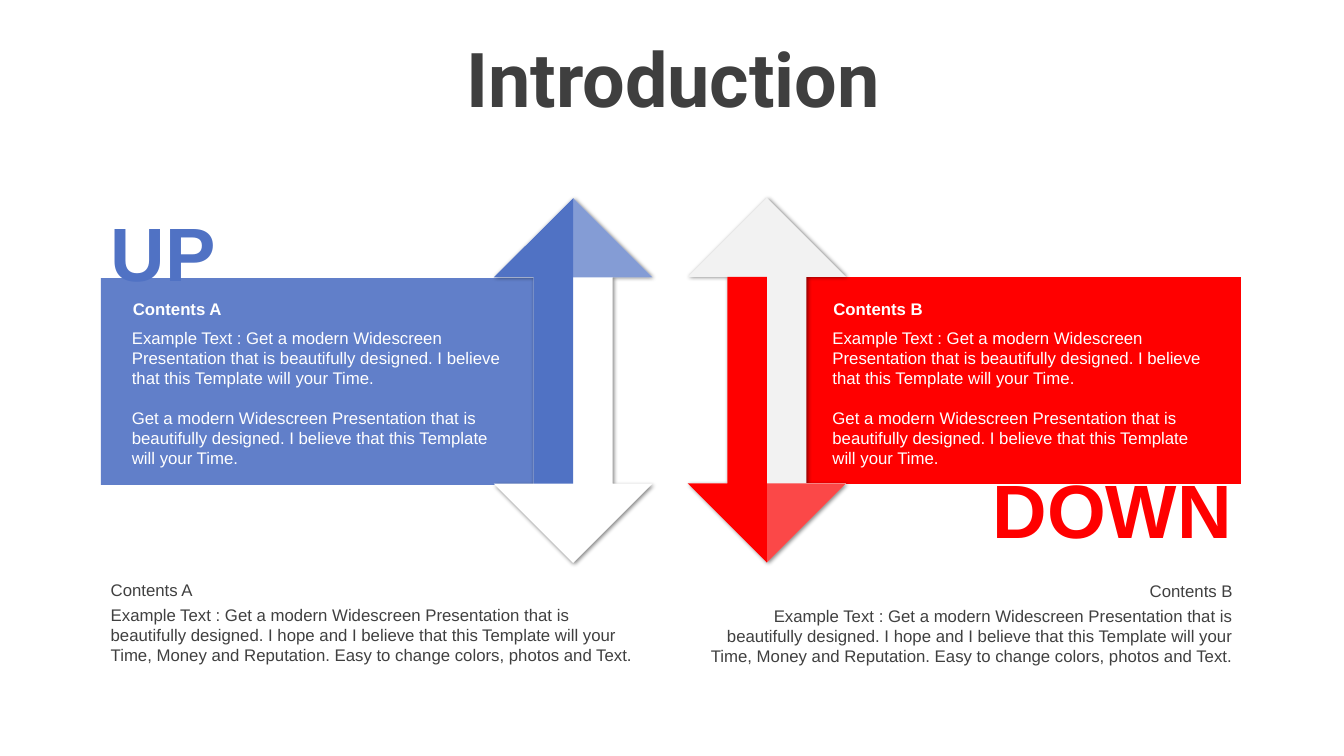
from dataclasses import dataclass

from lxml import etree
from pptx import Presentation
from pptx.dml.color import RGBColor
from pptx.enum.shapes import MSO_SHAPE
from pptx.enum.text import MSO_ANCHOR, PP_ALIGN
from pptx.oxml.ns import qn
from pptx.util import Pt

RECT, UP_DOWN = MSO_SHAPE.RECTANGLE, MSO_SHAPE.UP_DOWN_ARROW
TOP, MIDDLE = MSO_ANCHOR.TOP, MSO_ANCHOR.MIDDLE
LEFT, CENTER, RIGHT = PP_ALIGN.LEFT, PP_ALIGN.CENTER, PP_ALIGN.RIGHT


@dataclass(frozen=True)
class Theme:
    blue: str = "5072C4"
    red: str = "FF0000"
    white: str = "FFFFFF"
    pale: str = "F2F2F2"
    title: str = "3F3F3F"
    text: str = "404040"
    black: str = "000000"
    title_font: str = "Roboto"
    font: str = "Arial"
    display: int = 54
    body: int = 12


T = Theme()
CLOSING = "Get a modern Widescreen Presentation that is beautifully designed. I believe that this Template will your Time."
CARD = ["Example Text : " + CLOSING, CLOSING]
CAPTION = (
    "Example Text : Get a modern Widescreen Presentation that is beautifully designed. "
    "I hope and I believe that this Template will your Time, Money and Reputation. "
    "Easy to change colors, photos and Text."
)


def add_alpha(color, percent):
    etree.SubElement(color, qn("a:alpha"), val=str(percent * 1000))


def paint(sp, color, opacity=100):
    sp.shadow.inherit = False
    sp.fill.solid()
    sp.fill.fore_color.rgb = RGBColor.from_string(color)
    sp.line.fill.background()
    if opacity < 100:
        add_alpha(sp.fill._xPr.find(".//" + qn("a:srgbClr")), opacity)


def add_shadow(sp):
    effects = sp._element.spPr.find(qn("a:effectLst"))
    shadow = etree.SubElement(
        effects, qn("a:outerShdw"), blurRad=str(Pt(3)), dist=str(Pt(1)),
        dir="2700000", algn="tl", rotWithShape="0",
    )
    add_alpha(etree.SubElement(shadow, qn("a:srgbClr"), val=T.black), 47)


def add_text(s, box, paragraphs, color, align=LEFT, anchor=TOP, gap=0, **fmt):
    tf = s.shapes.add_textbox(*map(Pt, box)).text_frame
    tf.word_wrap = True
    tf.vertical_anchor = anchor
    values = {"name": T.font, "size": Pt(T.body), "bold": False} | fmt
    for i, words in enumerate(paragraphs):
        p = tf.add_paragraph() if i else tf.paragraphs[0]
        p.alignment = align
        if i:
            p.space_before = Pt(gap)
        r = p.add_run()
        r.text = words
        r.font.color.rgb = RGBColor.from_string(color)
        for key, value in values.items():
            setattr(r.font, key, value)


def add_display(s, box, words, color, align, font=T.font):
    add_text(s, box, [words], color, align, MIDDLE, name=font, size=Pt(T.display), bold=True)


def add_panel(s, box, color, opacity):
    sp = s.shapes.add_shape(RECT, *map(Pt, box))
    paint(sp, color, opacity)


def add_card(s, box, heading):
    x, y, w, h = box
    add_text(s, (x + 0.7, y, w, 21.6), [heading], T.white, bold=True)
    add_text(s, (x, y + 21, w, h - 21), CARD, T.white, gap=14)


def add_face(s, points, color, opacity=100):
    start, *rest = [(Pt(x), Pt(y)) for x, y in points]
    builder = s.shapes.build_freeform(*start)
    builder.add_line_segments(rest)
    paint(builder.convert_to_shape(), color, opacity)


def add_arrow(s, box, base, color, points_up):
    x, y, w, h = box
    sp = s.shapes.add_shape(UP_DOWN, *map(Pt, box))
    for i in range(2):
        sp.adjustments[i] = 0.5
    paint(sp, base)
    add_shadow(sp)
    mid, head = x + w / 2, w / 2
    tip, turn = (y, 1) if points_up else (y + h, -1)
    neck, tail = tip + turn * head, tip + turn * (h - head)
    half = [(mid, tip), (mid, tail), (x + w / 4, tail), (x + w / 4, neck), (x, neck)]
    add_face(s, half, color)
    add_face(s, [(mid, tip), (x + w, neck), (mid, neck)], color, 70)


def add_caption(s, box, heading, align):
    x, y, w, h = box
    add_text(s, (x, y + 18, w, h - 18), [CAPTION], T.text, align)
    add_text(s, (x, y, w, 21.6), [heading], T.text, align)


def build_slide(prs):
    s = prs.slides.add_slide(prs.slide_layouts[6])
    add_display(s, (25.2, 26.6, 911.5, 56.9), "Introduction", T.title, CENTER, T.title_font)
    add_panel(s, (72, 198.7, 311.8, 147.6), T.blue, 90)
    add_panel(s, (574.6, 198, 311.8, 147.6), T.red, 100)
    add_display(s, (72, 143.3, 118.8, 72.7), "UP", T.blue, LEFT)
    add_display(s, (688.3, 326.9, 198.7, 72.7), "DOWN", T.red, RIGHT)
    add_arrow(s, (352.8, 141.5, 113.2, 260.6), T.white, T.blue, True)
    add_arrow(s, (491.2, 141.2, 113.2, 260.6), T.pale, T.red, False)
    add_card(s, (87.1, 209.5, 283.7, 129.6), "Contents A")
    add_card(s, (587.5, 209.5, 286.6, 129.6), "Contents B")
    add_caption(s, (72, 410.4, 393.8, 69.1), "Contents A", LEFT)
    add_caption(s, (493.9, 411.1, 393.8, 69.1), "Contents B", RIGHT)


def main():
    prs = Presentation()
    prs.slide_width, prs.slide_height = Pt(960), Pt(540)
    build_slide(prs)
    prs.save("out.pptx")


if __name__ == "__main__":
    main()
